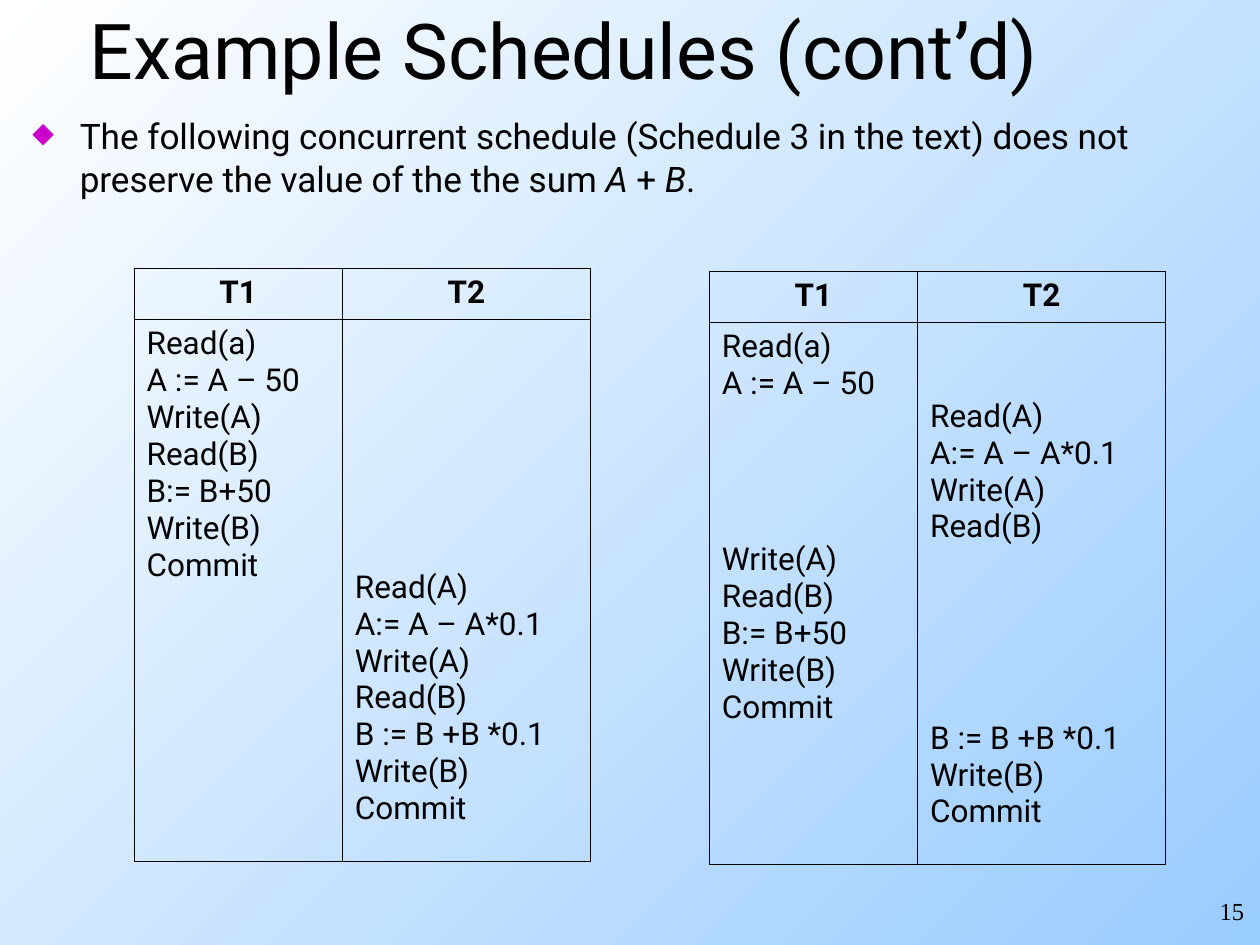
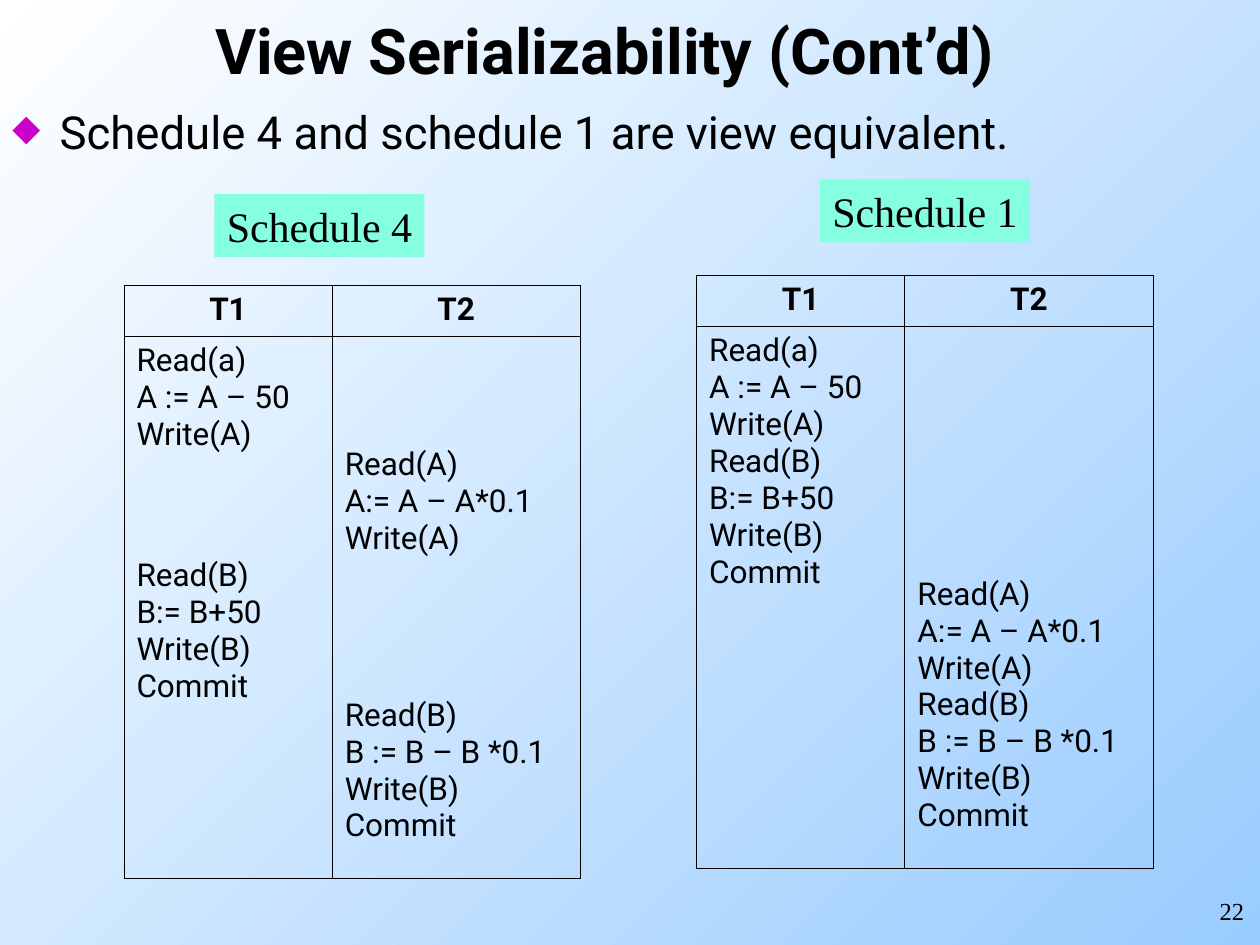
import pptx
import pptx.dml.color
import pptx.enum.shapes
import pptx.enum.text
import pptx.oxml
import pptx.oxml.ns
import pptx.util

Pt = pptx.util.Pt
RGBColor = pptx.dml.color.RGBColor
ALIGN = pptx.enum.text.PP_ALIGN
ANCHOR = pptx.enum.text.MSO_ANCHOR

BLACK = RGBColor(0x00, 0x00, 0x00)
WHITE = RGBColor(0xFF, 0xFF, 0xFF)
SKY = RGBColor(0x99, 0xCC, 0xFF)
MAGENTA = RGBColor(0xCC, 0x00, 0xCC)
MINT = RGBColor(0x85, 0xFF, 0xE0)

SANS = "Roboto"
SERIF = "Times New Roman"

COLUMN_WIDTHS = (119, 141.8)
ROW_HEIGHTS = (29, 310)
CELL_MARGIN = 3.6
WAIT_HEIGHT = 19.9

TRANSFER = ("Read(a)", "A := A – 50", "Write(A)", "Read(B)", "B:= B+50", "Write(B)", "Commit")


def interest(update_b):
    return ("Read(A)", "A:= A – A*0.1", "Write(A)", "Read(B)", update_b, "Write(B)", "Commit")


def add_run(paragraph, text, size, font=SANS, bold=False, italic=False):
    run = paragraph.add_run()
    run.text = text
    run.font.name = font
    run.font.size = Pt(size)
    run.font.bold = bold
    run.font.italic = italic
    run.font.color.rgb = BLACK


def add_text_box(slide, left, top, width, height):
    frame = slide.shapes.add_textbox(Pt(left), Pt(top), Pt(width), Pt(height)).text_frame
    frame.word_wrap = True
    return frame


def add_background(slide):
    fill = slide.background.fill
    fill.gradient()
    fill.gradient_angle = 315
    for stop, color in zip(fill.gradient_stops, (WHITE, SKY)):
        stop.color.rgb = color


def add_title(slide, text, left, size, bold=False):
    frame = add_text_box(slide, left, 0, 612, 56)
    frame.vertical_anchor = ANCHOR.MIDDLE
    paragraph = frame.paragraphs[0]
    paragraph.alignment = ALIGN.CENTER
    add_run(paragraph, text, size, bold=bold)


def add_page_number(slide, number):
    paragraph = add_text_box(slide, 568, 508.3, 150, 26).paragraphs[0]
    paragraph.alignment = ALIGN.RIGHT
    add_run(paragraph, str(number), 14, SERIF)


def add_bullet(slide, left, top, width, height, size, pieces):
    paragraph = add_text_box(slide, left, top, width, height).paragraphs[0]
    paragraph.space_before = Pt(6.5)
    properties = paragraph._p.get_or_add_pPr()
    properties.set("marL", str(Pt(27)))
    properties.set("indent", str(-Pt(27)))
    namespace = pptx.oxml.ns.nsdecls("a")
    for markup in (
        f'<a:buClr {namespace}><a:srgbClr val="{MAGENTA}"/></a:buClr>',
        f'<a:buSzPct {namespace} val="80000"/>',
        f'<a:buChar {namespace} char="◆"/>',
    ):
        properties.append(pptx.oxml.parse_xml(markup))
    for text, italic in pieces:
        add_run(paragraph, text, size, italic=italic)


def add_label(slide, text, left, top):
    shape = slide.shapes.add_shape(
        pptx.enum.shapes.MSO_SHAPE.RECTANGLE, Pt(left), Pt(top), Pt(120), Pt(36))
    shape.shadow.inherit = False
    shape.fill.solid()
    shape.fill.fore_color.rgb = MINT
    shape.line.fill.background()
    frame = shape.text_frame
    frame.word_wrap = False
    frame.vertical_anchor = ANCHOR.TOP
    frame.paragraphs[0].alignment = ALIGN.LEFT
    add_run(frame.paragraphs[0], text, 24, SERIF)


def style_cell(cell):
    properties = cell._tc.get_or_add_tcPr()
    for side in ("lnL", "lnR", "lnT", "lnB"):
        properties.append(pptx.oxml.parse_xml(
            f'<a:{side} {pptx.oxml.ns.nsdecls("a")} w="{Pt(0.45)}">'
            f'<a:solidFill><a:srgbClr val="{BLACK}"/></a:solidFill></a:{side}>'))
    cell.fill.background()


def fill_steps(cell, steps, waits):
    cell.margin_top = Pt(CELL_MARGIN + WAIT_HEIGHT * waits.get(0, 0))
    frame = cell.text_frame
    for index, step in enumerate(steps):
        paragraph = frame.add_paragraph() if index else frame.paragraphs[0]
        if index and index in waits:
            paragraph.space_before = Pt(WAIT_HEIGHT * waits[index])
        add_run(paragraph, step, 18)


def add_schedule(slide, left, top, transactions):
    table = slide.shapes.add_table(
        2, 2, Pt(left), Pt(top), Pt(sum(COLUMN_WIDTHS)), Pt(sum(ROW_HEIGHTS))).table
    table.first_row = False
    table.horz_banding = False
    for row, height in zip(table.rows, ROW_HEIGHTS):
        row.height = Pt(height)
    for column, (steps, waits) in enumerate(transactions):
        table.columns[column].width = Pt(COLUMN_WIDTHS[column])
        header, body = table.cell(0, column), table.cell(1, column)
        style_cell(header)
        style_cell(body)
        paragraph = header.text_frame.paragraphs[0]
        paragraph.alignment = ALIGN.CENTER
        add_run(paragraph, f"T{column + 1}", 18, bold=True)
        fill_steps(body, steps, waits)


def add_slide(presentation, number):
    slide = presentation.slides.add_slide(presentation.slide_layouts[6])
    add_background(slide)
    add_page_number(slide, number)
    return slide


def add_example_schedules(presentation):
    slide = add_slide(presentation, 15)
    add_title(slide, "Example Schedules (cont’d)", 16.5, 44)
    add_bullet(slide, 11.5, 62, 698, 93, 20.1, [
        ("The following concurrent schedule (Schedule 3 in the text) does not "
         "preserve the value of the the sum ", False),
        ("A ", True), ("+ ", False), ("B", True), (".", False)])
    second = interest("B := B +B *0.1")
    add_schedule(slide, 405.3, 155, [(TRANSFER, {2: 4}), (second, {0: 2, 4: 5})])
    add_schedule(slide, 76.6, 153.2, [(TRANSFER, {}), (second, {0: 7})])


def add_view_serializability(presentation):
    slide = add_slide(presentation, 22)
    add_title(slide, "View Serializability (Cont’d)", 39.5, 36, bold=True)
    add_bullet(slide, 0, 56, 692, 320, 26,
               [("Schedule 4 and schedule 1 are view equivalent.", False)])
    add_label(slide, "Schedule 4", 122.5, 111)
    add_label(slide, "Schedule 1", 468.5, 102.5)
    second = interest("B := B – B *0.1")
    add_schedule(slide, 398, 157.2, [(TRANSFER, {}), (second, {0: 7})])
    add_schedule(slide, 70.8, 163, [(TRANSFER, {3: 3}), (second, {0: 3, 3: 4})])


def main():
    presentation = pptx.Presentation()
    presentation.slide_width = Pt(720)
    presentation.slide_height = Pt(540)
    add_example_schedules(presentation)
    add_view_serializability(presentation)
    presentation.save("out.pptx")


if __name__ == "__main__":
    main()
